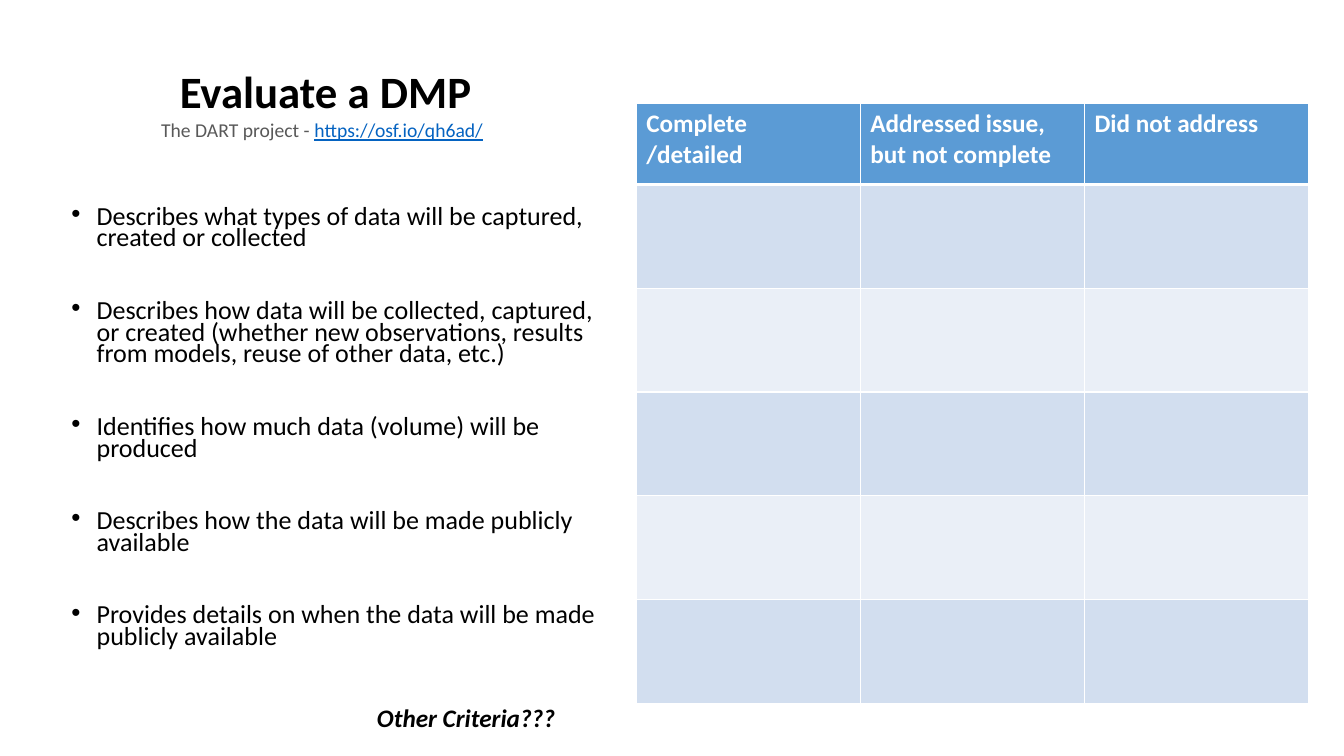
from lxml import etree
from pptx import Presentation
from pptx.dml.color import RGBColor
from pptx.enum.text import MSO_ANCHOR, PP_ALIGN
from pptx.oxml.ns import qn
from pptx.util import Inches, Pt

CENTER = PP_ALIGN.CENTER
MIDDLE = MSO_ANCHOR.MIDDLE
TOP = MSO_ANCHOR.TOP
FONT = "Calibri"
COLORS = {
    "text": "000000",
    "source": "595959",
    "link": "0563C1",
    "header": "5B9BD5",
    "band_dark": "D2DEEF",
    "band_light": "EAEFF7",
    "white": "FFFFFF",
}
CRITERIA = [
    "Describes what types of data will be captured, created or collected",
    "Describes how data will be collected, captured, or created "
    "(whether new observations, results from models, reuse of other data, etc.)",
    "Identifies how much data (volume) will be produced",
    "Describes how the data will be made publicly available",
    "Provides details on when the data will be made publicly available",
]
RATINGS = [
    ["Complete", "/detailed"],
    ["Addressed issue, but not complete"],
    ["Did not address"],
]


def add_run(paragraph, text, size, color="text", bold=False, italic=False, underline=False):
    """Append one formatted run to a paragraph."""
    run = paragraph.add_run()
    run.text = text
    font = run.font
    font.name, font.size = FONT, Pt(size)
    font.bold, font.italic, font.underline = bold, italic, underline
    font.color.rgb = RGBColor.from_string(COLORS[color])


def add_text_frame(slide, left, top, width, height, wrap=True, anchor=TOP):
    """Add a text box and return its text frame."""
    box = slide.shapes.add_textbox(Inches(left), Inches(top), Inches(width), Inches(height))
    frame = box.text_frame
    frame.word_wrap = wrap
    frame.vertical_anchor = anchor
    return frame


def next_paragraph(frame, index):
    """Return the first paragraph of a frame, or a new one after it."""
    return frame.add_paragraph() if index else frame.paragraphs[0]


def add_criteria(slide):
    """Add the bulleted list of evaluation criteria."""
    frame = add_text_frame(slide, 0.61, 2.01, 5.41, 4.76)
    for index, criterion in enumerate(CRITERIA):
        paragraph = next_paragraph(frame, index)
        paragraph.line_spacing = 0.7
        if index:
            paragraph.space_before = Pt(36)
        properties = paragraph._p.get_or_add_pPr()
        properties.set("marL", str(Inches(0.25)))
        properties.set("indent", str(-Inches(0.25)))
        etree.SubElement(properties, qn("a:buFont"), typeface="Arial")
        etree.SubElement(properties, qn("a:buChar"), char="•")
        add_run(paragraph, criterion, 18.6)


def style_cell(cell, fill, top=1, bottom=1):
    """Give a cell white borders and a solid fill."""
    properties = cell._tc.get_or_add_tcPr()
    for side, width in (("L", 1), ("R", 1), ("T", top), ("B", bottom)):
        border = etree.SubElement(properties, qn(f"a:ln{side}"), w=str(Pt(width)))
        solid = etree.SubElement(border, qn("a:solidFill"))
        etree.SubElement(solid, qn("a:srgbClr"), val=COLORS["white"])
    cell.fill.solid()
    cell.fill.fore_color.rgb = RGBColor.from_string(COLORS[fill])


def add_rating_table(slide):
    """Add the rating grid with one empty row per criterion."""
    table = slide.shapes.add_table(
        len(CRITERIA) + 1, len(RATINGS),
        Inches(6.31), Inches(1.03), Inches(6.67), Inches(5.94),
    ).table
    for row_index, row in enumerate(table.rows):
        row.height = Inches(1.03 if row_index else 0.8)
        for cell in row.cells:
            if row_index == 0:
                style_cell(cell, "header", bottom=3)
            else:
                band = "band_dark" if row_index % 2 else "band_light"
                style_cell(cell, band, top=3 if row_index == 1 else 1)
    for column, lines in enumerate(RATINGS):
        frame = table.cell(0, column).text_frame
        for index, line in enumerate(lines):
            add_run(next_paragraph(frame, index), line, 18, "white", bold=True)


def main():
    """Build the slide and save it."""
    deck = Presentation()
    deck.slide_width, deck.slide_height = Inches(13.33), Inches(7.5)
    slide = deck.slides.add_slide(deck.slide_layouts[6])

    title = add_text_frame(slide, 0.86, 0.21, 4.74, 1.45, anchor=MIDDLE).paragraphs[0]
    title.alignment = CENTER
    title.line_spacing = 0.9
    add_run(title, "Evaluate a DMP", 32, bold=True)

    add_criteria(slide)
    add_rating_table(slide)

    source = add_text_frame(slide, 1.5, 1.12, 3.43, 0.34, wrap=False).paragraphs[0]
    add_run(source, "The DART project - ", 14, "source")
    add_run(source, "https://osf.io/qh6ad/", 14, "link", underline=True)

    prompt = add_text_frame(slide, 3.64, 6.92, 1.99, 0.4, wrap=False).paragraphs[0]
    add_run(prompt, "Other Criteria???", 18, bold=True, italic=True)

    deck.save("out.pptx")


if __name__ == "__main__":
    main()
